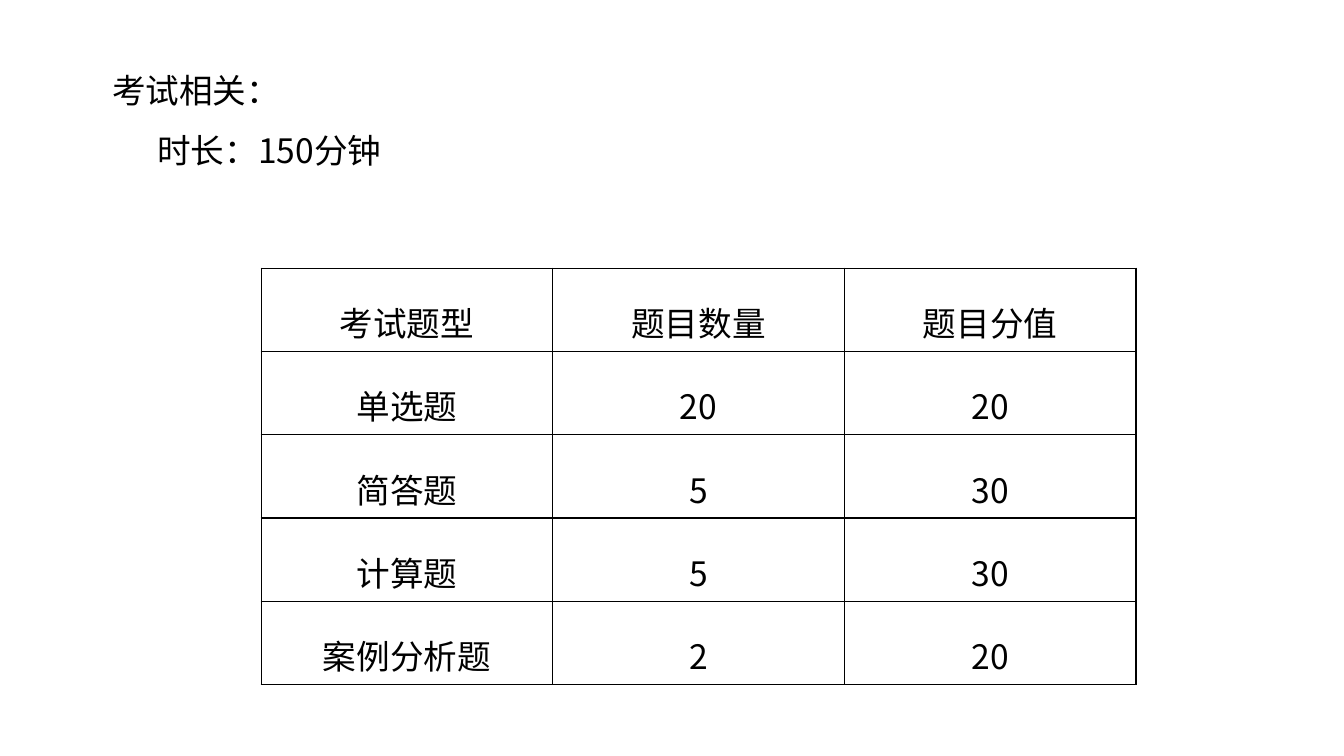
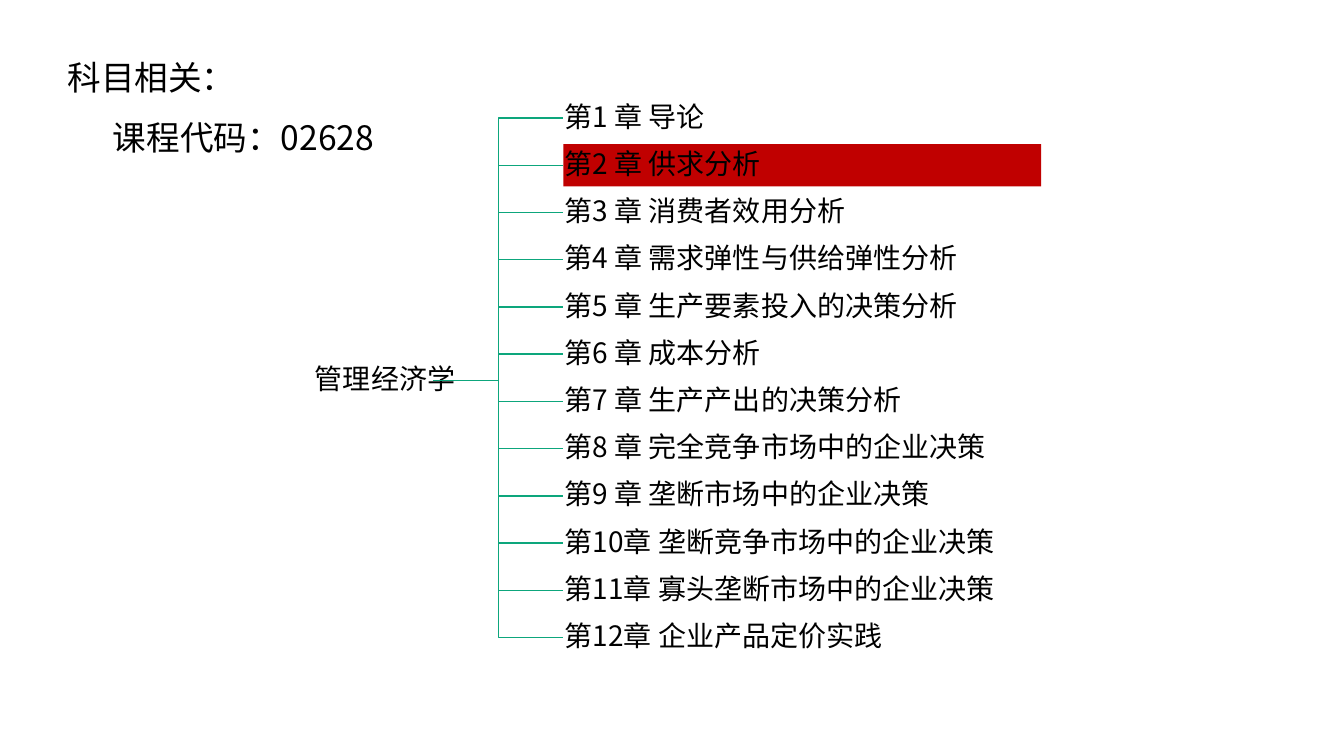
from lxml.etree import SubElement
from pptx import Presentation
from pptx.dml.color import RGBColor
from pptx.enum.shapes import MSO_CONNECTOR, MSO_SHAPE
from pptx.enum.text import MSO_ANCHOR, MSO_AUTO_SIZE, PP_ALIGN
from pptx.oxml.ns import qn
from pptx.util import Cm, Pt

BLACK = RGBColor(0x00, 0x00, 0x00)
WHITE = RGBColor(0xFF, 0xFF, 0xFF)
RED = RGBColor(0xC0, 0x00, 0x00)
GREEN = RGBColor(0x0D, 0xA6, 0x7C)
FONT = "Noto Sans CJK SC"

HEADING_FORMAT = {"alignment": PP_ALIGN.LEFT, "line_spacing": 1.5,
                  "space_before": Pt(0), "space_after": Pt(0)}
CELL_FORMAT = {"alignment": PP_ALIGN.CENTER, "line_spacing": 1.5}
LABEL_FORMAT = {"alignment": PP_ALIGN.LEFT, "line_spacing": 0.9}
ROOT_FORMAT = {**LABEL_FORMAT, "alignment": PP_ALIGN.CENTER}

EXAM_ROWS = [
    ("考试题型", "题目数量", "题目分值"),
    ("单选题", "20", "20"),
    ("简答题", "5", "30"),
    ("计算题", "5", "30"),
    ("案例分析题", "2", "20"),
]
CHAPTERS = [
    "第1 章 导论",
    "第2 章 供求分析",
    "第3 章 消费者效用分析",
    "第4 章 需求弹性与供给弹性分析",
    "第5 章 生产要素投入的决策分析",
    "第6 章 成本分析",
    "第7 章 生产产出的决策分析",
    "第8 章 完全竞争市场中的企业决策",
    "第9 章 垄断市场中的企业决策",
    "第10章 垄断竞争市场中的企业决策",
    "第11章 寡头垄断市场中的企业决策",
    "第12章 企业产品定价实践",
]
CURRENT_CHAPTER = 2


def set_format(target, values):
    for name, value in values.items():
        setattr(target, name, value)


def write(tf, text, size, paragraph_format):
    p = tf.paragraphs[0]
    set_format(p, paragraph_format)
    r = p.add_run()
    r.text = text
    set_format(r.font, {"size": Pt(size), "name": FONT})
    r.font.color.rgb = BLACK
    SubElement(r.font._element, qn("a:ea"), typeface=FONT)
    return p


def add_heading(s, left, top, title, detail):
    """Fill the title and, one line below it, the indented body."""
    line_height = 1.51
    for i, (holder, text) in enumerate(zip(s.placeholders, (title, detail))):
        set_format(holder, {"left": Cm(left), "top": Cm(top + i * line_height),
                            "width": Cm(20.8), "height": Cm(1.75)})
        tf = holder.text_frame
        set_format(tf, {"word_wrap": True, "auto_size": MSO_AUTO_SIZE.NONE,
                        "vertical_anchor": MSO_ANCHOR.TOP})
        pPr = write(tf, text, 24, HEADING_FORMAT)._p.get_or_add_pPr()
        pPr.set("marL", str(Cm(1.14 * i)))
        pPr.set("indent", "0")
        SubElement(pPr, qn("a:buNone"))


def add_borders(cell):
    tcPr = cell._tc.get_or_add_tcPr()
    for side in ("lnL", "lnR", "lnT", "lnB"):
        ln = SubElement(tcPr, qn(f"a:{side}"), w=str(Pt(1)))
        fill = SubElement(ln, qn("a:solidFill"))
        SubElement(fill, qn("a:srgbClr"), val=str(BLACK))


def add_grid(s, left, top, col_width, row_height, rows):
    n_rows, n_cols = len(rows), len(rows[0])
    table = s.shapes.add_table(n_rows, n_cols, Cm(left), Cm(top),
                               Cm(col_width * n_cols),
                               Cm(row_height * n_rows)).table
    set_format(table, {"first_row": False, "horz_banding": False})
    for row, texts in zip(table.rows, rows):
        for cell, text in zip(row.cells, texts):
            write(cell.text_frame, text, 24, CELL_FORMAT)
            add_borders(cell)
            cell.fill.background()


def add_label(s, left, top, width, height, text, paragraph_format, fill=WHITE):
    sp = s.shapes.add_shape(MSO_SHAPE.RECTANGLE, Cm(left), Cm(top),
                            Cm(width), Cm(height))
    sp.shadow.inherit = False
    sp.line.fill.background()
    sp.fill.solid()
    sp.fill.fore_color.rgb = fill
    tf = sp.text_frame
    margins = dict.fromkeys(("margin_left", "margin_right",
                             "margin_top", "margin_bottom"), Cm(0.03))
    set_format(tf, {**margins, "word_wrap": True,
                    "vertical_anchor": MSO_ANCHOR.MIDDLE})
    write(tf, text, 20, paragraph_format)


def add_branch(s, x1, y1, x2, y2):
    branch = s.shapes.add_connector(MSO_CONNECTOR.ELBOW,
                                    Cm(x1), Cm(y1), Cm(x2), Cm(y2))
    branch.line.color.rgb = GREEN
    branch.line.width = Pt(1)
    SubElement(branch._element.spPr, qn("a:effectLst"))


def add_chapter_tree(s, root, chapters, current):
    root_left, root_top, root_width, root_height = 7.29, 8.38, 4.83, 2.41
    left, top, width, height, pitch = 14.2, 2.44, 12.04, 1.07, 1.19
    trunk_x, trunk_y = 10.92, root_top + root_height / 2
    add_label(s, root_left, root_top, root_width, root_height,
              root, ROOT_FORMAT)
    for i, chapter in enumerate(chapters):
        y = top + i * pitch
        add_branch(s, trunk_x, trunk_y, left, y + height / 2)
        add_label(s, left, y, width, height, chapter, LABEL_FORMAT,
                  RED if i + 1 == current else WHITE)


def main():
    prs = Presentation()
    prs.slide_width, prs.slide_height = Cm(33.87), Cm(19.05)
    layout = prs.slide_layouts.get_by_name("Title and Content")

    s = prs.slides.add_slide(layout)
    add_heading(s, 2.57, 1.12, "考试相关：", "时长：150分钟")
    add_grid(s, 6.58, 6.76, 7.35, 1.84, EXAM_ROWS)

    s = prs.slides.add_slide(layout)
    add_heading(s, 1.45, 0.79, "科目相关：", "课程代码：02628")
    add_chapter_tree(s, "管理经济学", CHAPTERS, CURRENT_CHAPTER)

    prs.save("out.pptx")


if __name__ == "__main__":
    main()
